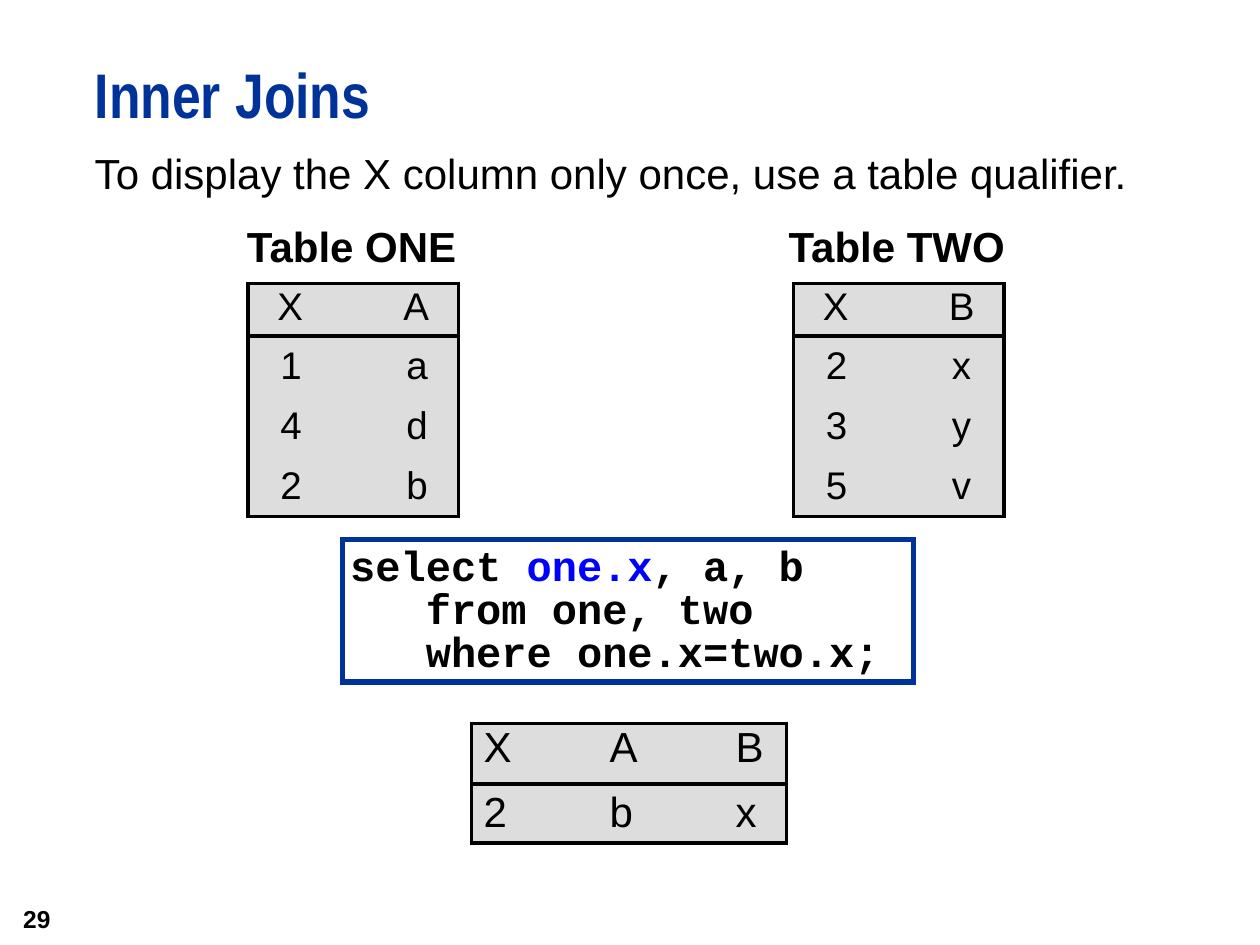
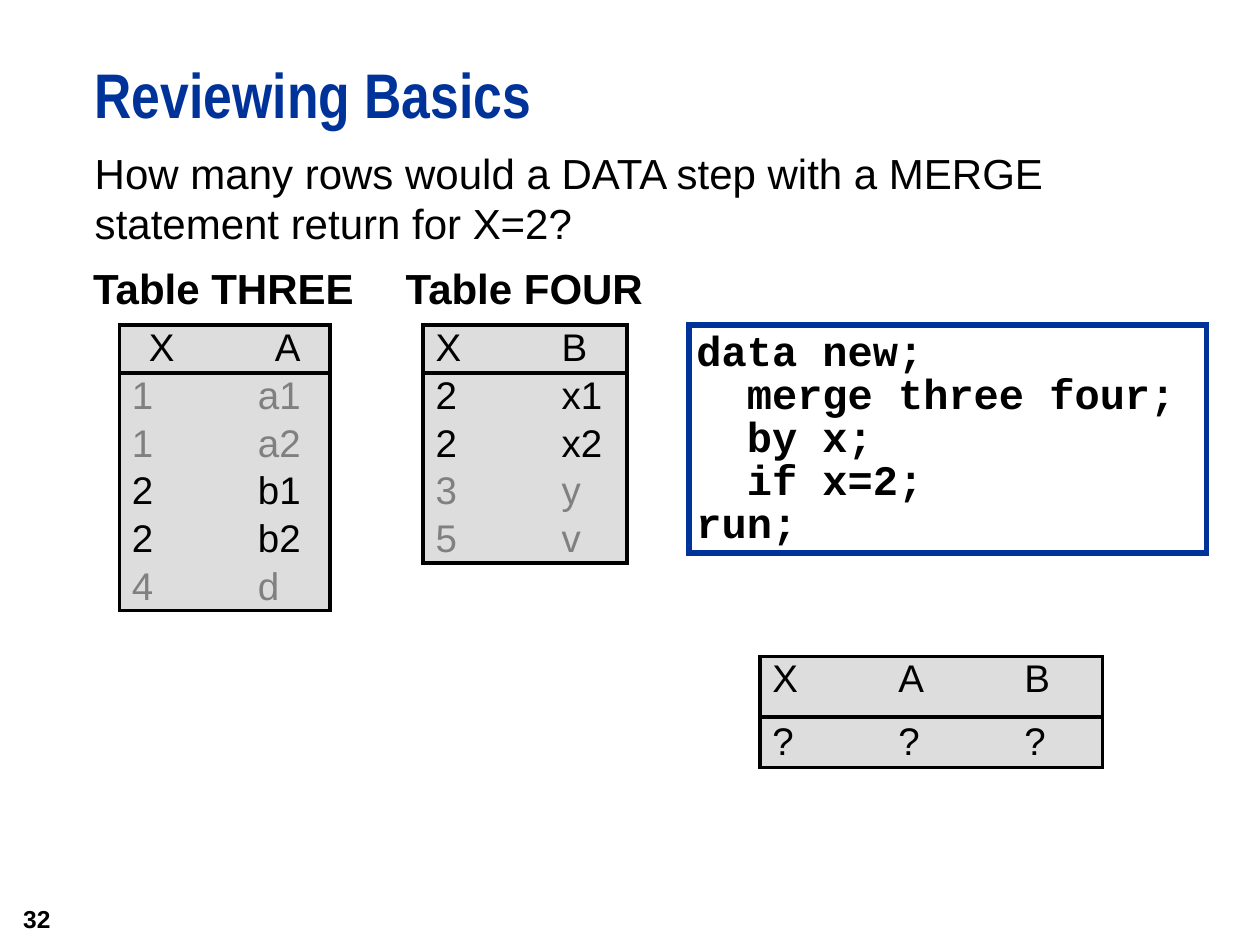
from lxml import etree
from pptx import Presentation
from pptx.dml.color import RGBColor
from pptx.enum.shapes import MSO_CONNECTOR, MSO_SHAPE
from pptx.enum.text import MSO_ANCHOR as Anchor, MSO_AUTO_SIZE as AutoSize, PP_ALIGN as Align
from pptx.oxml.ns import qn
from pptx.util import Cm, Pt

BLACK, NAVY, BLUE = "000000", "003399", "0000FF"
WHITE, PANEL, MUTED = "FFFFFF", "DDDDDD", "808080"

TITLE_FONT = {"name": "Arial Narrow", "size": Pt(36), "bold": True}
BODY_FONT = {"name": "Arial", "size": Pt(24), "bold": False}
LABEL_FONT = {"name": "Arial", "size": Pt(24), "bold": True}
CODE_FONT = {"name": "Courier New", "size": Pt(24), "bold": True}
NUMBER_FONT = {"name": "Arial", "size": Pt(14), "bold": True}

TITLE_BOX = (1.91, 1.27, 23.5, 1.91)
BODY_BOX = (1.91, 2.97, 21.79, 11.86)
NUMBER_BOX = (0, 17.98, 1.47, 1.07)
COLUMN_PITCH = 2.54
NEAR, FAR, FARTHER = 0.25, 0.59, 0.65  # left indents inside the data tables
RULE_WIDTH = Pt(2.25)


def rgb(hex_code):
    return RGBColor.from_string(hex_code)


def apply(target, values):
    for attribute, value in values.items():
        setattr(target, attribute, value)


def format_font(font, look, color=BLACK):
    apply(font, look)
    font.color.rgb = rgb(color)


def format_line(line, color, width):
    line.color.rgb = rgb(color)
    line.width = width


def set_frame(frame, inset=0, **values):
    sides = ("margin_left", "margin_right", "margin_top", "margin_bottom")
    apply(frame, dict.fromkeys(sides, Cm(inset)))
    apply(frame, {"word_wrap": True, "vertical_anchor": Anchor.TOP,
                  "auto_size": AutoSize.NONE, **values})


def place(shape, box):
    apply(shape, dict(zip(("left", "top", "width", "height"), map(Cm, box))))


def fill_placeholder(placeholder, box, text, look, color=BLACK, **layout):
    place(placeholder, box)
    set_frame(placeholder.text_frame)
    paragraph = placeholder.text_frame.paragraphs[0]
    paragraph.text = text
    properties = paragraph._p.get_or_add_pPr()
    properties.set("marL", "0")
    properties.set("indent", "0")
    etree.SubElement(properties, qn("a:buNone"))
    apply(paragraph, {"alignment": Align.LEFT, "space_before": Pt(0), **layout})
    format_font(paragraph.runs[0].font, look, color)


def add_text(slide, box, text, look, align=Align.LEFT, **frame_values):
    text_box = slide.shapes.add_textbox(*map(Cm, box))
    set_frame(text_box.text_frame, **frame_values)
    paragraph = text_box.text_frame.paragraphs[0]
    paragraph.text = text
    paragraph.alignment = align
    format_font(paragraph.runs[0].font, look)


def add_page(deck, title, statement, number):
    """Add a slide with its title, opening sentence and page number."""
    slide = deck.slides.add_slide(deck.slide_layouts[1])
    fill_placeholder(slide.shapes.title, TITLE_BOX, title, TITLE_FONT, NAVY,
                     line_spacing=Pt(39))
    fill_placeholder(slide.placeholders[1], BODY_BOX, statement, BODY_FONT)
    add_text(slide, NUMBER_BOX, number, NUMBER_FONT, Align.RIGHT,
             margin_right=Cm(0.45), vertical_anchor=Anchor.MIDDLE)
    return slide


def set_borders(cell, visible):
    """Draw the sides named in visible (from L, R, T, B) and clear the others."""
    properties = cell._tc.get_or_add_tcPr()
    for position, side in enumerate("LRTB"):
        line = etree.Element(qn(f"a:ln{side}"), w=str(RULE_WIDTH))
        if side in visible:
            solid = etree.SubElement(line, qn("a:solidFill"))
            etree.SubElement(solid, qn("a:srgbClr"), val=BLACK)
        else:
            etree.SubElement(line, qn("a:noFill"))
        properties.insert(position, line)


def add_header_rule(slide, left, top, width):
    rule = slide.shapes.add_connector(MSO_CONNECTOR.STRAIGHT,
                                      *map(Cm, (left, top, left + width, top)))
    format_line(rule.line, BLACK, RULE_WIDTH)
    etree.SubElement(rule._element.spPr, qn("a:effectLst"))


def add_data_table(slide, corner, width, heights, rows, size=22,
                   indents=(NEAR, NEAR), key=None):
    """Draw a framed table; heights and indents are for header and body.

    With a key, body rows that do not start with it are muted.
    """
    left, top = corner
    header_height, row_height = heights
    row_count, column_count = len(rows), len(rows[0])
    total = header_height + row_height * (row_count - 1)
    table = slide.shapes.add_table(row_count, column_count,
                                   *map(Cm, (left, top, width, total))).table
    apply(table, {"first_row": False, "horz_banding": False})
    for column in table.columns:
        column.width = Cm(COLUMN_PITCH)
    table.columns[column_count - 1].width = Cm(width - COLUMN_PITCH * (column_count - 1))

    for r, values in enumerate(rows):
        header = r == 0
        table.rows[r].height = Cm(header_height if header else row_height)
        color = BLACK if header or key in (None, values[0]) else MUTED
        for c, value in enumerate(values):
            cell = table.cell(r, c)
            apply(cell, {"margin_left": Cm(indents[min(r, 1)]), "margin_right": 0,
                         "margin_top": Cm(0.18 if header else 0), "margin_bottom": 0,
                         "vertical_anchor": Anchor.TOP if header else Anchor.MIDDLE})
            edges = {"L": c == 0, "R": c == column_count - 1,
                     "T": header, "B": r == row_count - 1}
            set_borders(cell, [side for side, shown in edges.items() if shown])
            cell.fill.solid()
            cell.fill.fore_color.rgb = rgb(PANEL)
            cell.text = value
            paragraph = cell.text_frame.paragraphs[0]
            paragraph.line_spacing = 0.8 if header else 1.0
            format_font(paragraph.runs[0].font, {**BODY_FONT, "size": Pt(size)}, color)
    add_header_rule(slide, left, top + header_height, width)


def add_code(slide, box, lines):
    """Draw a framed listing; each line is a list of (text, colour) parts."""
    panel = slide.shapes.add_shape(MSO_SHAPE.RECTANGLE, *map(Cm, box))
    panel.shadow.inherit = False
    panel.fill.solid()
    panel.fill.fore_color.rgb = rgb(WHITE)
    format_line(panel.line, NAVY, Pt(3))
    etree.SubElement(panel.line._get_or_add_ln(), qn("a:miter"), lim="800000")
    frame = panel.text_frame
    set_frame(frame, 0.15)
    for i, parts in enumerate(lines):
        paragraph = frame.add_paragraph() if i else frame.paragraphs[0]
        apply(paragraph, {"alignment": Align.LEFT, "line_spacing": 0.85})
        for text, color in parts:
            run = paragraph.add_run()
            run.text = text
            format_font(run.font, CODE_FONT, color)


def build_inner_joins(deck):
    slide = add_page(deck, "Inner Joins",
                     "To display the X column only once, use a table qualifier.", "29")
    sources = [
        ("Table ONE", 4.98, 5.0, ["XA", "1a", "4d", "2b"]),
        ("Table TWO", 15.9, 16.0, ["XB", "2x", "3y", "5v"]),
    ]
    for label, label_left, left, rows in sources:
        add_text(slide, (label_left, 4.45, 4.4, 1.02), label, LABEL_FONT, word_wrap=False)
        add_data_table(slide, (left, 5.72), 4.24, (1.06, 1.21), rows,
                       indents=(FAR, FARTHER))
    add_code(slide, (6.91, 10.88, 11.51, 2.87), [
        [("select ", BLACK), ("one.x", BLUE), (", a, b", BLACK)],
        [("   from one, two", BLACK)],
        [("   where one.x=two.x;", BLACK)],
    ])
    add_data_table(slide, (9.5, 14.58), 6.35, (1.22, 1.19), ["XAB", "2bx"], size=24)


def build_reviewing_basics(deck):
    slide = add_page(deck, "Reviewing Basics",
                     "How many rows would a DATA step with a MERGE statement "
                     "return for X=2?", "32")
    sources = [
        ("Table THREE", 1.88, 2.41, 4.24, (FAR, NEAR),
         [("X", "A"), ("1", "a1"), ("1", "a2"), ("2", "b1"), ("2", "b2"), ("4", "d")]),
        ("Table FOUR", 8.18, 8.53, 4.11, (NEAR, NEAR),
         [("X", "B"), ("2", "x1"), ("2", "x2"), ("3", "y"), ("5", "v")]),
    ]
    for label, label_left, left, width, indents, rows in sources:
        add_text(slide, (label_left, 5.3, 5.3, 1.02), label, LABEL_FONT, word_wrap=False)
        add_data_table(slide, (left, 6.55), width, (0.96, 0.96), rows,
                       indents=indents, key="2")
    program = ["data new;", "  merge three four;", "  by x;", "  if x=2;", "run;"]
    add_code(slide, (13.89, 6.55, 10.44, 4.6), [[(line, BLACK)] for line in program])
    add_data_table(slide, (15.32, 13.23), 6.91, (1.22, 1.02), ["XAB", "???"])


def main():
    deck = Presentation()
    apply(deck, {"slide_width": Cm(25.4), "slide_height": Cm(19.05)})
    build_inner_joins(deck)
    build_reviewing_basics(deck)
    deck.save("out.pptx")


if __name__ == "__main__":
    main()
